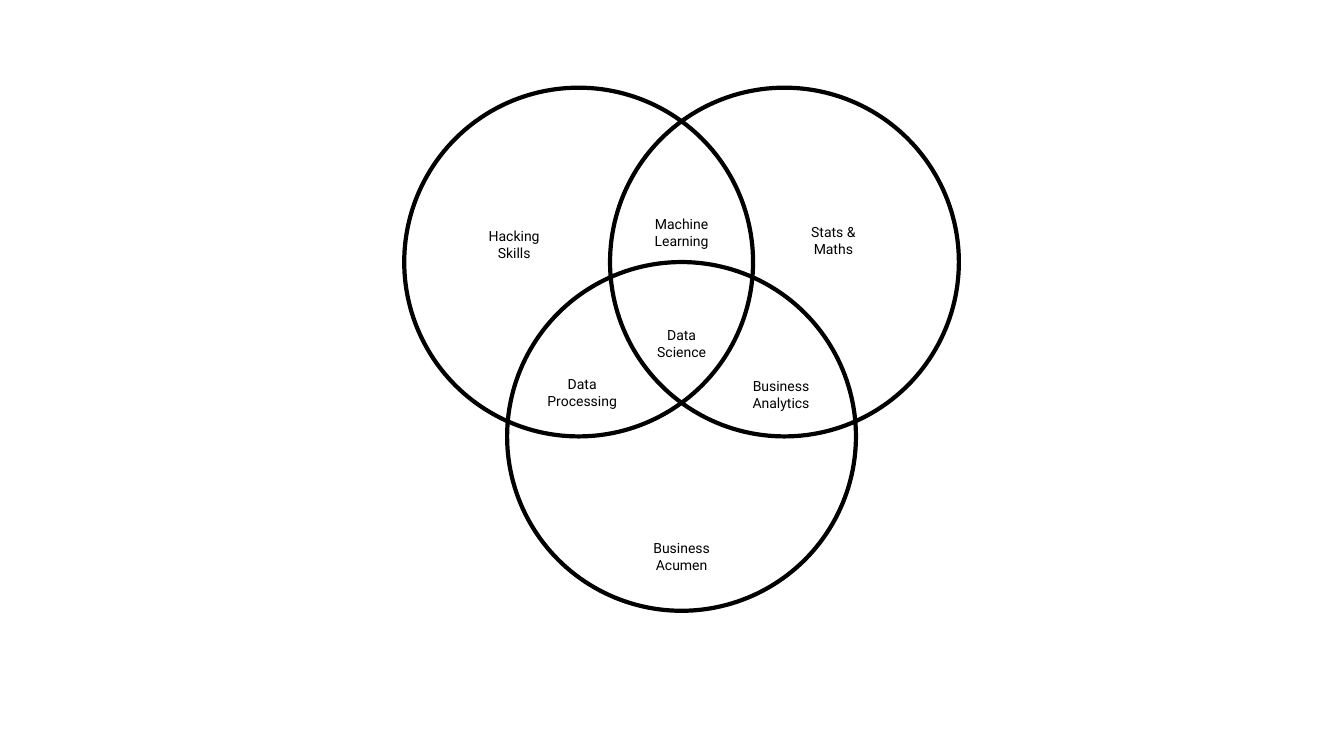
from pptx import Presentation
from pptx import util as u
from pptx.dml.color import RGBColor
from pptx.enum import shapes, text

# Places are counted in radii from the point midway between the top circles.
RADIUS = 1.73
MID_X, MID_Y = 6.76, 2.6
LABEL_W, LABEL_H = 0.98, 0.44
INK = "000000"

CIRCLES = [(-0.59, 0), (0, 1), (0.59, 0)]
LABELS = [
    ("Hacking Skills", -0.96, -0.1),
    ("Stats & Maths", 0.87, -0.12),
    ("Business Acumen", 0, 1.69),
    ("Machine Learning", 0, -0.17),
    ("Data Processing", -0.57, 0.75),
    ("Business Analytics", 0.57, 0.76),
    ("Data Science", 0, 0.47),
]


def paint(color, code):
    color.rgb = RGBColor.from_string(code)


def frame(col, row, wide, high):
    """Return left, top, width and height of a box centred at (col, row)."""
    left = MID_X + col * RADIUS - wide / 2
    top = MID_Y + row * RADIUS - high / 2
    return [u.Inches(size) for size in (left, top, wide, high)]


def add_circle(slide, col, row):
    box = frame(col, row, 2 * RADIUS, 2 * RADIUS)
    circle = slide.shapes.add_shape(shapes.MSO_SHAPE.OVAL, *box)
    circle.shadow.inherit = False
    circle.fill.background()
    paint(circle.line.color, INK)
    circle.line.width = u.Pt(3)


def add_label(slide, words, col, row):
    box = slide.shapes.add_textbox(*frame(col, row, LABEL_W, LABEL_H))
    body = box.text_frame
    body.word_wrap = True
    body.auto_size = text.MSO_AUTO_SIZE.SHAPE_TO_FIT_TEXT
    para = body.paragraphs[0]
    para.text = words
    para.alignment = text.PP_ALIGN.CENTER
    para.font.name = "Roboto"
    para.font.size = u.Pt(10)
    paint(para.font.color, INK)


def main():
    deck = Presentation()
    deck.slide_width = u.Inches(13.33)
    deck.slide_height = u.Inches(7.5)
    slide = deck.slides.add_slide(deck.slide_layouts[6])
    for spot in CIRCLES:
        add_circle(slide, *spot)
    for label in LABELS:
        add_label(slide, *label)
    deck.save("out.pptx")


if __name__ == "__main__":
    main()
